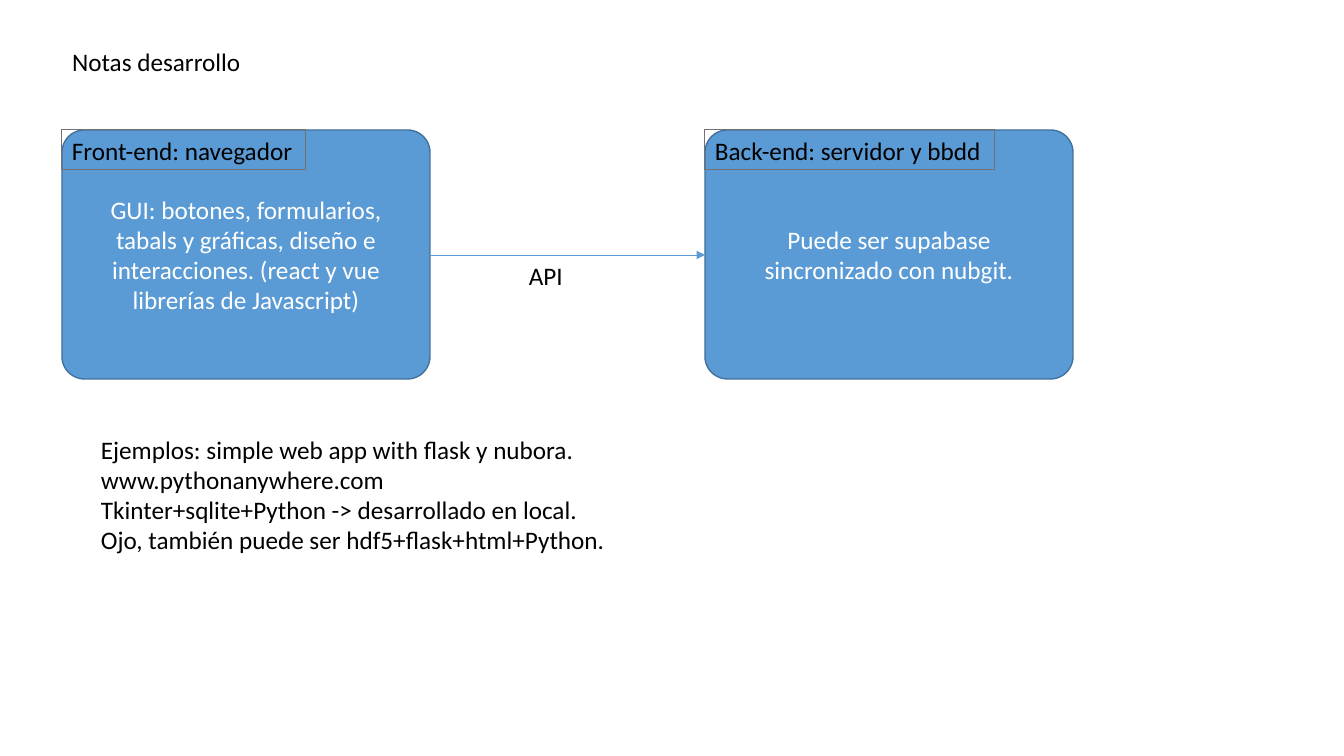
import pptx
import pptx.dml.color
import pptx.enum.shapes
import pptx.enum.text
import pptx.oxml
import pptx.oxml.ns
import pptx.util

SCALE = 914400 / 100.8
COLOURS = {
    "text": "000000",
    "box": "5B9BD5",
    "box_line": "41719C",
    "box_text": "FFFFFF",
    "label_line": "767171",
}
ALIGN = pptx.enum.text.PP_ALIGN
ANCHOR = pptx.enum.text.MSO_ANCHOR


def px(length):
    return pptx.util.Emu(round(length * SCALE))


def colour(name):
    return pptx.dml.color.RGBColor.from_string(COLOURS[name])


class Sketch:
    font_name = "Calibri"
    font_size = 18

    def __init__(self, presentation):
        self.slide = presentation.slides.add_slide(presentation.slide_layouts[5])

    def fill_frame(self, frame, lines, text_colour, align, anchor):
        frame.vertical_anchor = anchor
        for index, line in enumerate(lines):
            paragraph = frame.paragraphs[0] if index == 0 else frame.add_paragraph()
            paragraph.alignment = align
            run = paragraph.add_run()
            run.text = line
            run.font.name = self.font_name
            run.font.size = pptx.util.Pt(self.font_size)
            run.font.color.rgb = colour(text_colour)

    def fill_unwrapped(self, shape, lines):
        frame = shape.text_frame
        frame.word_wrap = False
        frame.auto_size = pptx.enum.text.MSO_AUTO_SIZE.SHAPE_TO_FIT_TEXT
        self.fill_frame(frame, lines, "text", ALIGN.LEFT, ANCHOR.TOP)

    def title(self, text, left, top, width, height):
        shape = self.slide.shapes.title
        shape.left, shape.top = px(left), px(top)
        shape.width, shape.height = px(width), px(height)
        self.fill_unwrapped(shape, [text])

    def text(self, lines, left, top, width, height):
        shape = self.slide.shapes.add_textbox(px(left), px(top), px(width), px(height))
        self.fill_unwrapped(shape, lines)
        return shape

    def label(self, text, left, top, width, height):
        shape = self.text([text], left, top, width, height)
        shape.line.color.rgb = colour("label_line")
        shape.line.width = pptx.util.Pt(0.75)

    def box(self, text, left, top, width, height):
        shape = self.slide.shapes.add_shape(
            pptx.enum.shapes.MSO_SHAPE.ROUNDED_RECTANGLE,
            px(left), px(top), px(width), px(height))
        shape.adjustments[0] = 0.09
        shape.shadow.inherit = False
        shape.fill.solid()
        shape.fill.fore_color.rgb = colour("box")
        shape.line.color.rgb = colour("box_line")
        shape.line.width = pptx.util.Pt(1)
        shape.text_frame.word_wrap = True
        self.fill_frame(shape.text_frame, [text], "box_text", ALIGN.CENTER, ANCHOR.MIDDLE)
        return shape

    def arrow(self, source, target, y):
        connector = self.slide.shapes.add_connector(
            pptx.enum.shapes.MSO_CONNECTOR.STRAIGHT,
            source.left + source.width, px(y), target.left, px(y))
        connector.line.color.rgb = colour("box")
        connector.line.width = pptx.util.Pt(0.5)
        namespace = pptx.oxml.ns.nsdecls("a")
        properties = connector._element.spPr
        outline = properties.find(pptx.oxml.ns.qn("a:ln"))
        outline.append(pptx.oxml.parse_xml(f'<a:tailEnd {namespace} type="triangle"/>'))
        properties.append(pptx.oxml.parse_xml(f"<a:effectLst {namespace}/>"))


def main():
    presentation = pptx.Presentation()
    presentation.slide_width = px(1344)
    presentation.slide_height = px(756)
    sketch = Sketch(presentation)
    sketch.title("Notas desarrollo", 62, 41, 190, 40)

    sides = [
        (62, 244, "Front-end: navegador",
         "GUI: botones, formularios, tabals y gráficas, diseño e interacciones. "
         "(react y vue librerías de Javascript)"),
        (705, 290, "Back-end: servidor y bbdd",
         "Puede ser supabase sincronizado con nubgit."),
    ]
    boxes = []
    for left, label_width, label, description in sides:
        boxes.append(sketch.box(description, left, 130, 368, 249))
        sketch.label(label, left, 130, label_width, 40)

    sketch.arrow(*boxes, 255)
    sketch.text(["API"], 519, 255, 54, 40)
    sketch.text([
        "Ejemplos: simple web app with flask y nubora.",
        "www.pythonanywhere.com",
        "Tkinter+sqlite+Python -> desarrollado en local.",
        "Ojo, también puede ser hdf5+flask+html+Python.",
    ], 91, 429, 535, 132)
    presentation.save("out.pptx")


if __name__ == "__main__":
    main()
